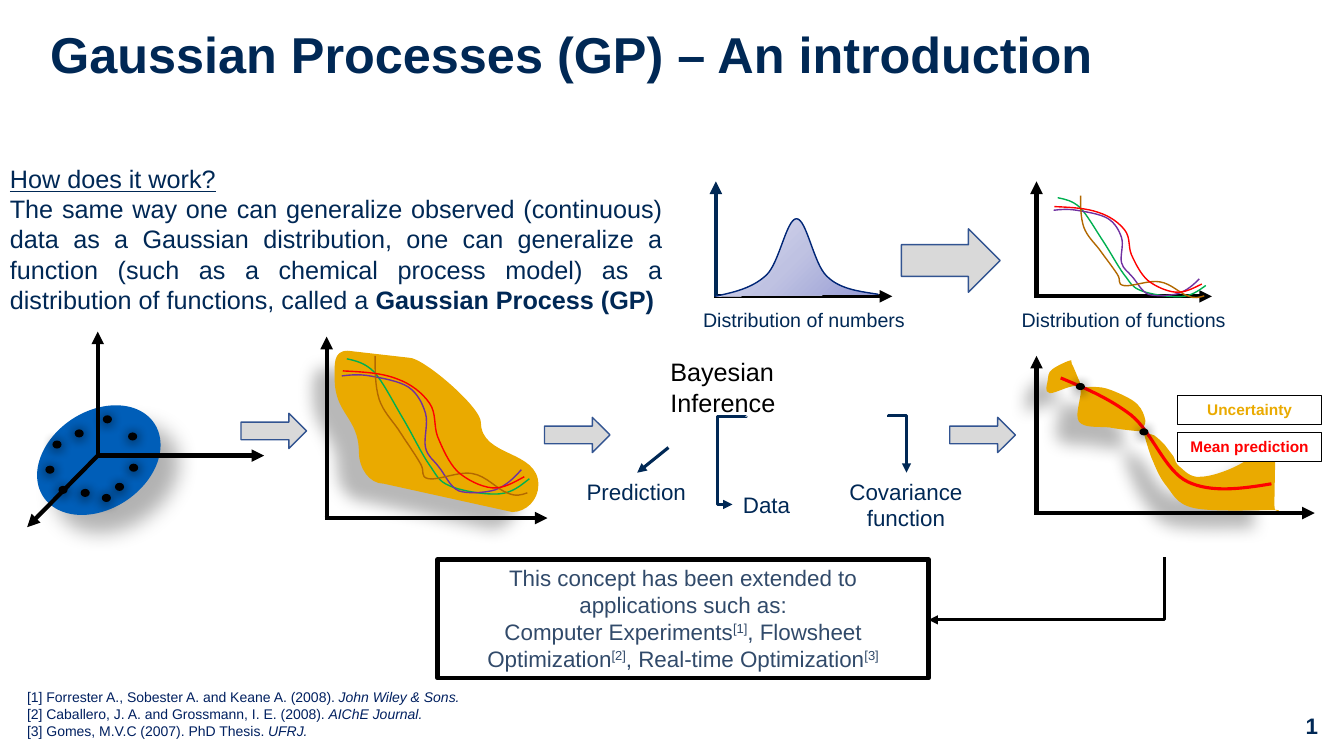
from pptx import Presentation
from pptx import util as u
from pptx.dml.color import RGBColor
from pptx.enum import shapes as kinds, text
from pptx.oxml import parse_xml
from pptx.oxml.ns import nsdecls, qn

NAVY = RGBColor(0x00, 0x28, 0x55)
INK = RGBColor(0x00, 0x20, 0x60)
SLATE = RGBColor(0x31, 0x4A, 0x6A)
BLACK = RGBColor(0, 0, 0)
WHITE = RGBColor(0xFF, 0xFF, 0xFF)
AMBER = RGBColor(0xEA, 0xAA, 0x00)
BLUE = RGBColor(0x00, 0x5E, 0xB8)
GREY = RGBColor(0xD9, 0xD9, 0xD9)
STEEL = RGBColor(0x32, 0x54, 0x91)
BELL_EDGE = RGBColor(0x00, 0x26, 0x76)
GREEN = RGBColor(0x00, 0xB0, 0x50)
PURPLE = RGBColor(0x70, 0x30, 0xA0)
BROWN = RGBColor(0xB2, 0x68, 0x00)
RED = RGBColor(0xFF, 0, 0)

SOFT = (28, 11.8, 19.7, 141)
DEEP = (30, 15, 18, 45)
DOT = (100, 8.5, 1, 90)

BELL = [(0, .77), (.19, .73), (.37, .69), (.51, .56), (.64, .44), (.71, 0), (.81, 0), (.91, 0), (.98, .45),
        (1.11, .57), (1.24, .7), (1.43, .72), (1.62, .75)]
FUNCTIONS_SIZE = (1.86, 1.38)
FUNCTIONS = [
    (GREEN, [(.05, .03), (.14, .05), (.23, .07), (.32, .16), (.41, .26), (.51, .46), (.6, .61), (.69, .76), (.78, .95),
             (.86, 1.07), (.94, 1.18), (.95, 1.24), (1.07, 1.29), (1.18, 1.34), (1.42, 1.38), (1.56, 1.37),
             (1.69, 1.36), (1.77, 1.29), (1.86, 1.22)]),
    (PURPLE, [(0, .2), (.08, .19), (.17, .18), (.28, .2), (.39, .22), (.57, .25), (.66, .31), (.75, .37), (.8, .47),
              (.83, .57), (.86, .67), (.81, .82), (.83, .91), (.85, 1), (.91, 1.03), (.96, 1.1), (1.02, 1.17),
              (1.07, 1.3), (1.16, 1.34), (1.25, 1.37), (1.42, 1.36), (1.52, 1.33), (1.63, 1.29), (1.71, 1.21),
              (1.78, 1.13)]),
    (BROWN, [(.33, 0), (.33, .15), (.33, .3), (.37, .43), (.41, .55), (.49, .63), (.56, .73), (.63, .84), (.73, .98),
             (.78, 1.07), (.83, 1.15), (.77, 1.2), (.86, 1.22), (.95, 1.24), (1.17, 1.14), (1.3, 1.17), (1.43, 1.19),
             (1.55, 1.33), (1.64, 1.36), (1.73, 1.4), (1.78, 1.38), (1.84, 1.36)]),
    (RED, [(.01, .15), (.21, .16), (.4, .17), (.55, .23), (.69, .28), (.8, .37), (.87, .47), (.94, .57), (.91, .69),
           (.95, .8), (1, .92), (1.06, 1.06), (1.15, 1.15), (1.24, 1.23), (1.38, 1.3), (1.49, 1.31), (1.6, 1.32),
           (1.7, 1.26), (1.81, 1.2)]),
]
PRIOR = [(.08, .42), (.08, .28), (.06, .14), (.21, .14), (.21, .14), (.82, .21), (.82, .21), (.96, .21), (1.53, .7),
         (1.53, .85), (1.53, 1.2), (2.1, 1.12), (2.1, 1.47), (2.1, 1.62), (1.98, 1.74), (1.84, 1.74), (1.84, 1.74),
         (.57, 1.46), (.57, 1.46), (.42, 1.46), (.32, 1.3), (.32, 1.15), (.32, .8), (.08, .77), (.08, .42)]
BAND = [(.13, .37), (.07, .36), (.11, .28), (.11, .25), (.12, .21), (.11, .17), (.15, .14), (.18, .11), (.29, .06),
        (.32, .05), (.36, .04), (.34, .04), (.35, .08), (.37, .11), (.41, .22), (.43, .26), (.44, .3), (.42, .31),
        (.44, .31), (.47, .32), (.54, .3), (.6, .31), (.66, .31), (.72, .33), (.79, .36), (.86, .39), (.95, .43),
        (1, .48), (1.05, .53), (1.07, .59), (1.08, .64), (1.09, .68), (1.04, .72), (1.06, .75), (1.07, .78),
        (1.14, .77), (1.17, .79), (1.21, .82), (1.24, .85), (1.27, .88), (1.3, .92), (1.33, .96), (1.36, 1),
        (1.38, 1.03), (1.37, 1.06), (1.42, 1.1), (1.46, 1.13), (1.52, 1.21), (1.62, 1.2), (1.72, 1.2), (1.87, 1.15),
        (1.99, 1.09), (2.11, 1.03), (2.27, .9), (2.34, .86), (2.4, .83), (2.36, .78), (2.37, .88), (2.37, .98),
        (2.36, 1.37), (2.36, 1.48), (2.35, 1.59), (2.48, 1.52), (2.35, 1.53), (2.21, 1.53), (1.74, 1.55), (1.56, 1.51),
        (1.38, 1.47), (1.35, 1.36), (1.28, 1.28), (1.21, 1.19), (1.18, 1.1), (1.14, 1.01), (1.11, .93), (1.07, .79),
        (1.06, .75), (1.01, .75), (.82, .73), (.72, .71), (.61, .7), (.47, .72), (.42, .65), (.37, .58), (.47, .36),
        (.43, .31), (.38, .26), (.18, .38), (.13, .37)]
MEAN = [(.24, .22), (.48, .32), (.72, .42), (.94, .59), (1.15, .76), (1.27, 1.14), (1.5, 1.25), (1.73, 1.36),
        (2.03, 1.32), (2.33, 1.27)]
SAMPLES = [(.18, 1.33), (.74, 1.61), (.25, 1.08), (1.01, 1.31), (.53, 1.56), (.75, .83), (.47, .97), (.31, 1.53),
           (1, 1), (.87, 1.5)]


def style(shape, fill=None, edge=None, weight=1, shadow=None):
    """Set the fill, outline and shadow of a shape."""
    shape.shadow.inherit = False
    if fill is None:
        shape.fill.background()
    else:
        shape.fill.solid()
        shape.fill.fore_color.rgb = fill
    if edge is None:
        shape.line.fill.background()
    else:
        shape.line.color.rgb = edge
        shape.line.width = u.Pt(weight)
    if shadow:
        alpha, blur, distance, angle = shadow
        shape.element.spPr.find(qn("a:effectLst")).append(parse_xml(
            f'<a:outerShdw {nsdecls("a")} blurRad="{u.Pt(blur)}" dist="{u.Pt(distance)}" dir="{angle * 60000}" '
            f'algn="ctr" rotWithShape="0"><a:srgbClr val="000000"><a:alpha val="{alpha * 1000}"/></a:srgbClr>'
            '</a:outerShdw>'))
    return shape


def preset(shapes, kind, left, top, width, height, **look):
    """Add a styled preset shape."""
    box = [u.Inches(side) for side in (left, top, width, height)]
    return style(shapes.add_shape(kind, *box), **look)


def curve(shapes, left, top, nodes, scale=(1, 1), closed=False, **look):
    """Draw a chain of cubic curves through nodes measured from a corner."""
    spots = [(u.Inches(left + x * scale[0]), u.Inches(top + y * scale[1])) for x, y in nodes]
    builder = shapes.build_freeform(*spots[0])
    builder.add_line_segments(spots[1:], close=closed)
    shape = builder.convert_to_shape()
    steps = list(shape.element.spPr.iter(qn("a:lnTo")))
    for first in range(0, len(steps) - 2, 3):
        bend = parse_xml(f'<a:cubicBezTo {nsdecls("a")}/>')
        steps[first].addprevious(bend)
        for step in steps[first:first + 3]:
            bend.append(step[0])
            step.getparent().remove(step)
    return style(shape, **look)


def arrow(shapes, x1, y1, x2, y2, color=BLACK, weight=3):
    """Add a straight connector with an arrowhead at its end."""
    line = shapes.add_connector(kinds.MSO_CONNECTOR.STRAIGHT, *[u.Inches(v) for v in (x1, y1, x2, y2)])
    line.line.color.rgb = color
    line.line.width = u.Pt(weight)
    line.element.spPr.find(qn("a:ln")).append(parse_xml(f'<a:tailEnd {nsdecls("a")} type="triangle"/>'))
    line.element.spPr.append(parse_xml(f'<a:effectLst {nsdecls("a")}/>'))
    return line


def elbow(shapes, left, top, width, height, turn, kind, color, bends=(), flip=False):
    """Add a bent arrow in a box turned by the given angle."""
    line = arrow(shapes, left, top, left + width, top + height, color, 2.25)
    frame = line.element.spPr.find(qn("a:xfrm"))
    frame.set("rot", str(turn * 60000))
    if flip:
        frame.set("flipH", "1")
    guides = "".join(f'<a:gd name="adj{i}" fmla="val {bend}"/>' for i, bend in enumerate(bends, 1))
    line.element.spPr.replace(line.element.spPr.find(qn("a:prstGeom")), parse_xml(
        f'<a:prstGeom {nsdecls("a")} prst="{kind}"><a:avLst>{guides}</a:avLst></a:prstGeom>'))


def write(frame, paras, size, color, align=text.PP_ALIGN.LEFT, anchor=text.MSO_ANCHOR.TOP, wrap=True):
    """Fill a text frame with paragraphs of runs, each run a text and its marks."""
    frame.word_wrap = wrap
    frame.vertical_anchor = anchor
    for index, runs in enumerate(paras):
        para = frame.paragraphs[0] if index == 0 else frame.add_paragraph()
        para.alignment = align
        for words, marks in runs:
            span = para.add_run()
            span.text = words
            span.font.name = "Arial"
            span.font.size = u.Pt(size)
            span.font.color.rgb = color
            span.font.bold = "b" in marks
            span.font.italic = "i" in marks
            span.font.underline = "u" in marks
            if "^" in marks:
                span.font._element.set("baseline", "30000")


def label(page, left, top, width, height, paras, size, color=NAVY, **layout):
    """Add a text box; a plain string makes one plain run."""
    box = page.shapes.add_textbox(*[u.Inches(v) for v in (left, top, width, height)])
    write(box.text_frame, [[(paras, "")]] if isinstance(paras, str) else paras, size, color, **layout)


def axes(shapes, left, top, width, height, upright=BLACK):
    """Draw a horizontal and a vertical axis along a box."""
    base = top + height
    arrow(shapes, left - .02, base, left + width, base)
    arrow(shapes, left, base, left, top, upright)


def function_curves(page, left, top, width, height):
    """Draw the sample functions scaled to a box."""
    group = page.shapes.add_group_shape().shapes
    scale = (width / FUNCTIONS_SIZE[0], height / FUNCTIONS_SIZE[1])
    for color, nodes in FUNCTIONS:
        curve(group, left, top, nodes, scale, edge=color)


def distributions(page, left, top):
    """Show the step from a distribution of numbers to one of functions."""
    bell = page.shapes.add_group_shape().shapes
    axes(bell, left, top, 1.75, 1.14, NAVY)
    hill = curve(bell, left - .01, top + .37, BELL, edge=BELL_EDGE)
    stops = "".join(f'<a:gs pos="{pos}"><a:srgbClr val="{color}"/></a:gs>'
                    for pos, color in ((0, "9499D3"), (50000, "BFC2E2"), (100000, "E0E1F0")))
    properties = hill.element.spPr
    properties.replace(properties.find(qn("a:noFill")), parse_xml(
        f'<a:gradFill {nsdecls("a")}><a:gsLst>{stops}</a:gsLst><a:path path="circle">'
        '<a:fillToRect l="100000" t="100000"/></a:path></a:gradFill>'))
    preset(page.shapes, kinds.MSO_SHAPE.RIGHT_ARROW, left + 1.84, top + .47, .98, .63, fill=GREY, edge=STEEL)
    axes(page.shapes.add_group_shape().shapes, left + 3.18, top, 1.74, 1.14)
    function_curves(page, left + 3.35, top + .14, 1.51, 1.01)
    for offset, name in ((-.25, "numbers"), (2.92, "functions")):
        label(page, left + offset, top + 1.21, 2.25, .34, f"Distribution of {name}", 14, align=text.PP_ALIGN.CENTER)


def sample_space(page, left, top):
    """Draw the sampled region with its three axes."""
    region = preset(page.shapes, kinds.MSO_SHAPE.OVAL, left + .05, top + .79, 1.32, .97, fill=BLUE, shadow=DEEP)
    region.rotation = 326.6
    group = page.shapes.add_group_shape().shapes
    for x, y in ((.7, 0), (2.35, 1.23), (0, 1.94)):
        arrow(group, left + .7, top + 1.23, left + x, top + y)
    for x, y in SAMPLES:
        preset(page.shapes, kinds.MSO_SHAPE.FLOWCHART_CONNECTOR, left + x, top + y, .09, .08, fill=BLACK, shadow=DOT)


def prior(page, left, top):
    """Draw the prior region with its sample functions."""
    curve(page.shapes, left, top, PRIOR, closed=True, fill=AMBER, shadow=SOFT)
    axes(page.shapes.add_group_shape().shapes, left, top, 2.19, 1.8)
    function_curves(page, left + .15, top + .19, *FUNCTIONS_SIZE)


def inference(page, left, top):
    """Place the inference terms and the arrows between them."""
    label(page, left + .83, top, 1.4, .68, "Bayesian Inference", 18, BLACK)
    label(page, left, top + 1.2, 1.2, .37, "Prediction", 16, wrap=False)
    label(page, left + 1.55, top + 1.33, .68, .37, "Data", 16, wrap=False)
    label(page, left + 2.47, top + 1.2, 1.59, .64, "Covariance function", 16, align=text.PP_ALIGN.CENTER)
    arrow(page.shapes, left + .91, top + .95, left + .6, top + 1.2, NAVY, 2.25)
    elbow(page.shapes, left + 2.9, top + .83, .56, .18, 270, "bentConnector3", NAVY, (-1400,), True)
    elbow(page.shapes, left + 1.18, top + 1.01, .87, .14, 90, "bentConnector4", NAVY, (100, 205800))


def posterior(page, left, top):
    """Draw the mean prediction inside its uncertainty band."""
    group = page.shapes.add_group_shape().shapes
    curve(group, left, top, BAND, closed=True, fill=AMBER, shadow=SOFT)
    axes(group, left, top, 2.76, 1.56)
    curve(group, left, top, MEAN, edge=RED, weight=2.25)
    for x, y in ((.39, .27), (1.02, .72)):
        preset(group, kinds.MSO_SHAPE.FLOWCHART_CONNECTOR, left + x, top + y, .09, .07, fill=BLACK, shadow=DOT)
    for y, name, color in ((.39, "Uncertainty", AMBER), (.76, "Mean prediction", RED)):
        key = preset(group, kinds.MSO_SHAPE.RECTANGLE, left + 1.4, top + y, 1.43, .29, fill=WHITE, edge=BLACK, weight=.75)
        write(key.text_frame, [[(name, "b")]], 11, color, text.PP_ALIGN.CENTER)


def applications(page, left, top):
    """Place the framed list of applications and the arrow into it."""
    frame = preset(page.shapes, kinds.MSO_SHAPE.RECTANGLE, left, top, 4.87, 1.18, fill=WHITE, edge=BLACK, weight=3)
    write(frame.text_frame, [
        [("This concept has been extended to applications such as:", "")],
        [("Computer Experiments", ""), ("[1]", "^"), (", Flowsheet Optimization", ""), ("[2]", "^"),
         (", Real-time Optimization", ""), ("[3]", "^")]], 16, SLATE, text.PP_ALIGN.CENTER)
    elbow(page.shapes, left + 5.73, top - .88, .62, 2.34, 90, "bentConnector2", BLACK)


def wording(page):
    """Place the title, explanation, references and page number."""
    middle = text.MSO_ANCHOR.MIDDLE
    label(page, .4, .15, 11.04, .75, [[("Gaussian Processes (GP) – An introduction", "b")]], 36, anchor=middle)
    label(page, 0, 1.57, 6.67, 1.62, [
        [("How does it work?", "u")],
        [("The same way one can generalize observed (continuous) data as a Gaussian distribution, one can generalize "
          "a function (such as a chemical process model) as a distribution of functions, called a ", ""),
         ("Gaussian Process (GP)", "b")]], 18, align=text.PP_ALIGN.JUSTIFY)
    label(page, .17, 6.72, 8.9, .73, [
        [("[1] Forrester A., Sobester A. and Keane A. (2008). ", ""), ("John Wiley & Sons.", "i")],
        [("[2] Caballero, J. A. and Grossmann, I. E. (2008). ", ""), ("AIChE Journal.", "i")],
        [("[3] Gomes, M.V.C (2007). PhD Thesis. ", ""), ("UFRJ.", "i")]], 10, INK, anchor=middle)
    label(page, 12.17, 6.95, 1, .5, [[("1", "b")]], 16, align=text.PP_ALIGN.RIGHT, anchor=middle)


def main():
    """Build the slide and save it."""
    deck = Presentation()
    deck.slide_width, deck.slide_height = u.Inches(13.33), u.Inches(7.5)
    page = deck.slides.add_slide(deck.slide_layouts[6])
    wording(page)
    distributions(page, 7.1, 1.8)
    sample_space(page, .27, 3.29)
    prior(page, 3.24, 3.34)
    inference(page, 5.72, 3.49)
    posterior(page, 10.28, 3.53)
    for left, top in ((2.39, 4.1), (5.4, 4.14), (9.42, 4.14)):
        preset(page.shapes, kinds.MSO_SHAPE.RIGHT_ARROW, left, top, .65, .35, fill=GREY, edge=STEEL)
    applications(page, 4.34, 5.55)
    deck.save("out.pptx")


if __name__ == "__main__":
    main()
